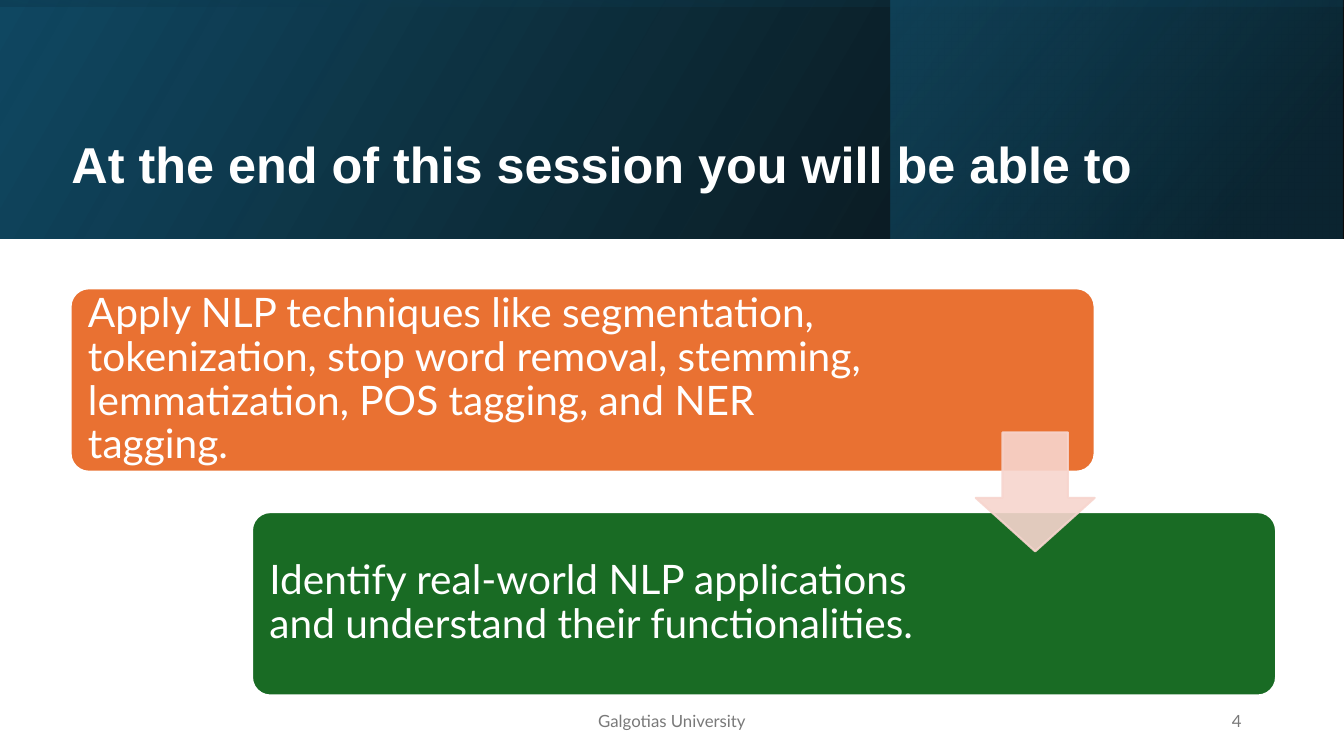
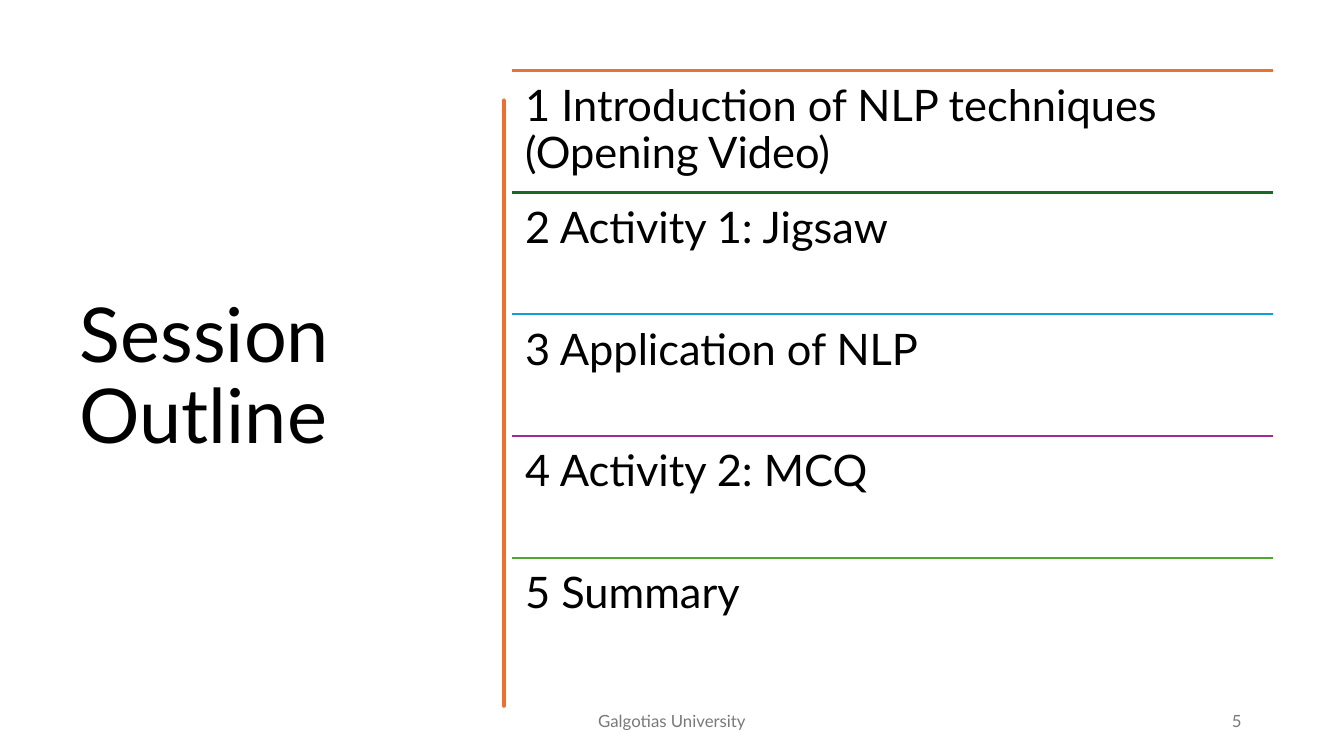
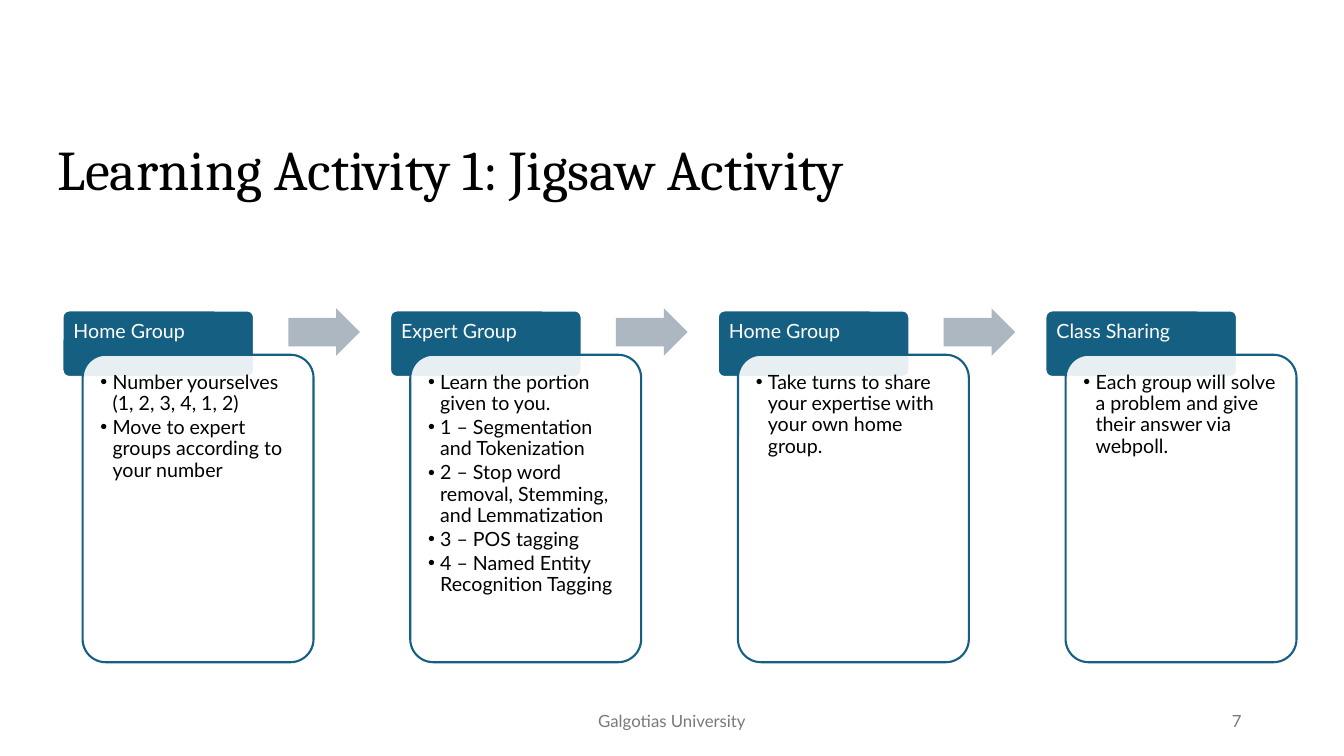
from dataclasses import dataclass
from itertools import pairwise

from lxml.etree import SubElement
from pptx import Presentation
from pptx.dml.color import RGBColor
from pptx.enum.shapes import MSO_CONNECTOR as Connector, MSO_SHAPE as Shape
from pptx.enum.text import MSO_ANCHOR as Anchor, PP_ALIGN as Align
from pptx.oxml.ns import qn
from pptx.util import Inches, Pt

WIDTH, HEIGHT = Inches(13.333), Inches(7.5)


@dataclass(frozen=True)
class Theme:
    white: str = "FFFFFF"
    black: str = "000000"
    grey: str = "797979"
    navy: str = "104862"
    midnight: str = "0B3041"
    teal: str = "156082"
    orange: str = "E97132"
    green: str = "196B24"
    blue: str = "0F9ED5"
    purple: str = "A02B93"
    lime: str = "4EA72E"
    blush: str = "F7D5CE"
    steel: str = "ACB7C1"
    body_font: str = "Lato"
    banner_font: str = "Arial"
    serif_font: str = "Cambria"
    outline_title: float = 54
    activity_title: float = 40
    banner_title: float = 36
    row_size: float = 31
    goal_size: float = 29
    card_size: float = 14
    footer_size: float = 12
    thin_line: float = 1.5
    brush_line: float = 3.25
    tight: float = 0.9


THEME = Theme()
BAND_HEIGHT = 31.6

# Each curve: two control points and an end point, in inches
BRUSH_START = (4.75, 0.84)
BRUSH_CURVES = [
    ((4.77, 1.02), (4.77, 1.19), (4.75, 1.46)),
    ((4.73, 1.73), (4.76, 1.95), (4.75, 2.26)),
    ((4.74, 2.57), (4.75, 2.62), (4.75, 2.94)),
    ((4.74, 3.25), (4.77, 3.42), (4.75, 3.56)),
    ((4.73, 3.7), (4.79, 4.14), (4.75, 4.36)),
    ((4.71, 4.57), (4.72, 4.84), (4.75, 5.1)),
    ((4.77, 5.36), (4.77, 5.64), (4.75, 5.84)),
    ((4.73, 6.03), (4.76, 6.5), (4.75, 6.76)),
    ((4.74, 6.76), (4.73, 6.76), (4.73, 6.76)),
    ((4.74, 6.46), (4.71, 6.44), (4.73, 6.13)),
    ((4.74, 5.83), (4.74, 5.7), (4.73, 5.57)),
    ((4.72, 5.44), (4.72, 4.95), (4.73, 4.77)),
    ((4.73, 4.59), (4.71, 4.45), (4.73, 4.15)),
    ((4.74, 3.86), (4.72, 3.73), (4.73, 3.35)),
    ((4.74, 2.98), (4.72, 2.81), (4.73, 2.5)),
    ((4.74, 2.18), (4.75, 2), (4.73, 1.81)),
    ((4.7, 1.63), (4.77, 1.04), (4.73, 0.84)),
]


def rgb(colour):
    return RGBColor.from_string(colour)


def across(percent):
    return round(WIDTH * percent / 100)


def down(percent):
    return round(HEIGHT * percent / 100)


def place(frame):
    """Turn (left, top, width, height) in percent of the slide into lengths."""
    left, top, width, height = frame
    return across(left), down(top), across(width), down(height)


def set_opacity(element, percents):
    """Give the colours below an element their opacity, in order."""
    for colour, percent in zip(element.iter(qn("a:srgbClr")), percents):
        SubElement(colour, qn("a:alpha"), val=str(percent * 1000))


def paint(shape, fill, line=None, width=THEME.thin_line):
    shape.shadow.inherit = False
    shape.fill.solid()
    shape.fill.fore_color.rgb = rgb(fill)
    if line:
        shape.line.color.rgb = rgb(line)
        shape.line.width = Pt(width)
    else:
        shape.line.fill.background()


def add_block(slide, kind, frame, fill, line=None, adjustments=(), opacity=()):
    shape = slide.shapes.add_shape(kind, *place(frame))
    for index, value in enumerate(adjustments):
        shape.adjustments[index] = value
    paint(shape, fill, line)
    set_opacity(shape.element.spPr, opacity)
    return shape


def add_gradient(slide, frame, stops, angle, rotation=0):
    """Add a mirrored rectangle; stops are (position, colour, opacity)."""
    shape = slide.shapes.add_shape(Shape.RECTANGLE, *place(frame))
    shape.shadow.inherit = False
    shape.line.fill.background()
    shape.rotation = rotation
    shape.element.spPr.find(qn("a:xfrm")).set("flipH", "1")
    shape.fill.gradient()
    shape.fill.gradient_angle = 360 - angle
    for stop, (position, colour, _) in zip(shape.fill.gradient_stops, stops):
        stop.position = position / 100
        stop.color.rgb = rgb(colour)
    set_opacity(shape.element.spPr, [opacity for *_, opacity in stops])


def add_bullet(paragraph):
    properties = paragraph._p.get_or_add_pPr()
    properties.set("marL", str(Inches(0.12)))
    properties.set("indent", str(-Inches(0.12)))
    SubElement(properties, qn("a:buFont"), typeface="Arial")
    SubElement(properties, qn("a:buChar"), char="•")


def write(shape, lines, size, colour=THEME.black, font=THEME.body_font,
          bold=False, align=Align.LEFT, anchor=Anchor.MIDDLE,
          insets=(0.1, 0.05, 0.1, 0.05), spacing=THEME.tight, bullets=False):
    """Fill a shape with one paragraph per line; insets in inches."""
    frame = shape.text_frame
    frame.word_wrap = True
    frame.vertical_anchor = anchor
    (frame.margin_left, frame.margin_top,
     frame.margin_right, frame.margin_bottom) = map(Inches, insets)
    for index, line in enumerate(lines):
        paragraph = frame.add_paragraph() if index else frame.paragraphs[0]
        if bullets:
            add_bullet(paragraph)
            paragraph.space_after = Pt(2)
        paragraph.alignment = align
        paragraph.line_spacing = spacing
        run = paragraph.add_run()
        run.text = line
        run.font.name = font
        run.font.size = Pt(size)
        run.font.bold = bold
        run.font.color.rgb = rgb(colour)


def add_text(slide, frame, text, size, **style):
    write(slide.shapes.add_textbox(*place(frame)), [text], size, **style)


def add_rule(slide, left, top, width, colour):
    line = slide.shapes.add_connector(
        Connector.STRAIGHT, across(left), down(top),
        across(left + width), down(top))
    line.line.color.rgb = rgb(colour)
    line.line.width = Pt(THEME.thin_line)
    SubElement(line.element.spPr, qn("a:effectLst"))


def curve_points(start, curves, steps=6):
    ends = [start] + [curve[-1] for curve in curves]
    for (begin, end), (first, second, _) in zip(pairwise(ends), curves):
        for step in range(1, steps + 1):
            t = step / steps
            yield tuple(
                (1 - t) ** 3 * a + 3 * (1 - t) ** 2 * t * b
                + 3 * (1 - t) * t ** 2 * c + t ** 3 * d
                for a, b, c, d in zip(begin, first, second, end))


def add_brush_stroke(slide):
    builder = slide.shapes.build_freeform(*BRUSH_START, scale=Inches(1))
    builder.add_line_segments(curve_points(BRUSH_START, BRUSH_CURVES))
    paint(builder.convert_to_shape(), THEME.orange, THEME.orange,
          THEME.brush_line)


def add_banner(slide):
    add_gradient(slide, (0, 0, 100, BAND_HEIGHT),
                 [(0, THEME.black, 96), (100, THEME.navy, 100)], 330)
    add_gradient(slide, (66.3, 0, 33.6, BAND_HEIGHT),
                 [(19, THEME.midnight, 68), (100, THEME.teal, 48)], 320)
    # Turned on its side, this one covers the whole band
    add_gradient(slide, (41.11, -73.09, 17.78, 177.78),
                 [(23, THEME.navy, 16), (99, THEME.black, 45)], 350, 270)


def add_footer(slide, number):
    for left, width, text, align in [
        (33.13, 33.75, "Galgotias University", Align.CENTER),
        (70.63, 22.5, str(number), Align.RIGHT),
    ]:
        add_text(slide, (left, 92.67, width, 5.33), text, THEME.footer_size,
                 colour=THEME.grey, align=align, spacing=1)


def build_goals(slide):
    add_banner(slide)
    add_text(slide, (4.58, 16.13, 86.48, 12),
             "At the end of this session you will be able to",
             THEME.banner_title, colour=THEME.white, font=THEME.banner_font,
             bold=True)
    goals = [
        ("Apply NLP techniques like segmentation, tokenization, stop word "
         "removal, stemming, lemmatization, POS tagging, and NER tagging.",
         THEME.orange, 1.89),
        ("Identify real-world NLP applications and understand their "
         "functionalities.", THEME.green, 3.09),
    ]
    for index, (text, colour, right_inset) in enumerate(goals):
        box = add_block(
            slide, Shape.ROUNDED_RECTANGLE,
            (5.25 + 13.5 * index, 38.13 + 29.6 * index, 76.2, 24.27),
            colour, THEME.white, [0.1])
        write(box, [text], THEME.goal_size, THEME.white,
              insets=(0.12, 0.12, right_inset, 0.12))
    add_block(slide, Shape.DOWN_ARROW, (72.6, 57.2, 8.85, 15.73),
              THEME.blush, THEME.blush, [0.55, 0.45], [90, 90])


def build_outline(slide):
    add_text(slide, (5.2, 9.33, 28.05, 81.47), "Session Outline",
             THEME.outline_title)
    add_brush_stroke(slide)
    rows = [
        ("1 Introduction of NLP techniques (Opening Video)", THEME.orange),
        ("2 Activity 1: Jigsaw", THEME.green),
        ("3 Application of NLP", THEME.blue),
        ("4 Activity 2: MCQ", THEME.purple),
        ("5 Summary", THEME.lime),
    ]
    left, width, row_height = 38.1, 56.63, 16.13
    for index, (text, colour) in enumerate(rows):
        top = 9.33 + row_height * index
        add_rule(slide, left, top, width, colour)
        add_text(slide, (left, top, width, row_height), text, THEME.row_size,
                 anchor=Anchor.TOP, insets=(0.13,) * 4)


def add_step(slide, left, heading, points):
    header = add_block(slide, Shape.ROUNDED_RECTANGLE,
                       (left, 41.07, 14.25, 8.8),
                       THEME.teal, THEME.white, [0.1])
    write(header, [heading], THEME.card_size, THEME.white,
          anchor=Anchor.TOP, insets=(0.09, 0.09, 0.09, 0.06))
    card = add_block(slide, Shape.ROUNDED_RECTANGLE,
                     (left + 1.5, 46.93, 17.18, 40.67),
                     THEME.white, THEME.teal, [0.1], [90])
    write(card, points, THEME.card_size, anchor=Anchor.TOP,
          insets=(0.11,) * 4, bullets=True)


def build_jigsaw(slide):
    add_text(slide, (3.53, 15.33, 76.28, 14.93),
             "Learning Activity 1: Jigsaw Activity",
             THEME.activity_title, font=THEME.serif_font)
    steps = [
        ("Home Group", ["Number yourselves (1, 2, 3, 4, 1, 2)",
                        "Move to expert groups according to your number"]),
        ("Expert Group", ["Learn the portion given to you.",
                          "1 – Segmentation and Tokenization",
                          "2 – Stop word removal, Stemming, and Lemmatization",
                          "3 – POS tagging",
                          "4 – Named Entity Recognition Tagging"]),
        ("Home Group", ["Take turns to share your expertise with your own "
                        "home group."]),
        ("Class Sharing", ["Each group will solve a problem and give their "
                           "answer via webpoll."]),
    ]
    for index, (heading, points) in enumerate(steps):
        left = 4.65 + 24.38 * index
        if index:
            add_block(slide, Shape.RIGHT_ARROW,
                      (left - 7.58, 40.8, 5.33, 6.27), THEME.steel,
                      adjustments=[0.6, 0.5])
        add_step(slide, left, heading, points)


def main():
    presentation = Presentation()
    presentation.slide_width, presentation.slide_height = WIDTH, HEIGHT
    blank = presentation.slide_layouts[6]
    for number, build in [(4, build_goals), (5, build_outline),
                          (7, build_jigsaw)]:
        slide = presentation.slides.add_slide(blank)
        build(slide)
        add_footer(slide, number)
    presentation.save("out.pptx")


if __name__ == "__main__":
    main()
